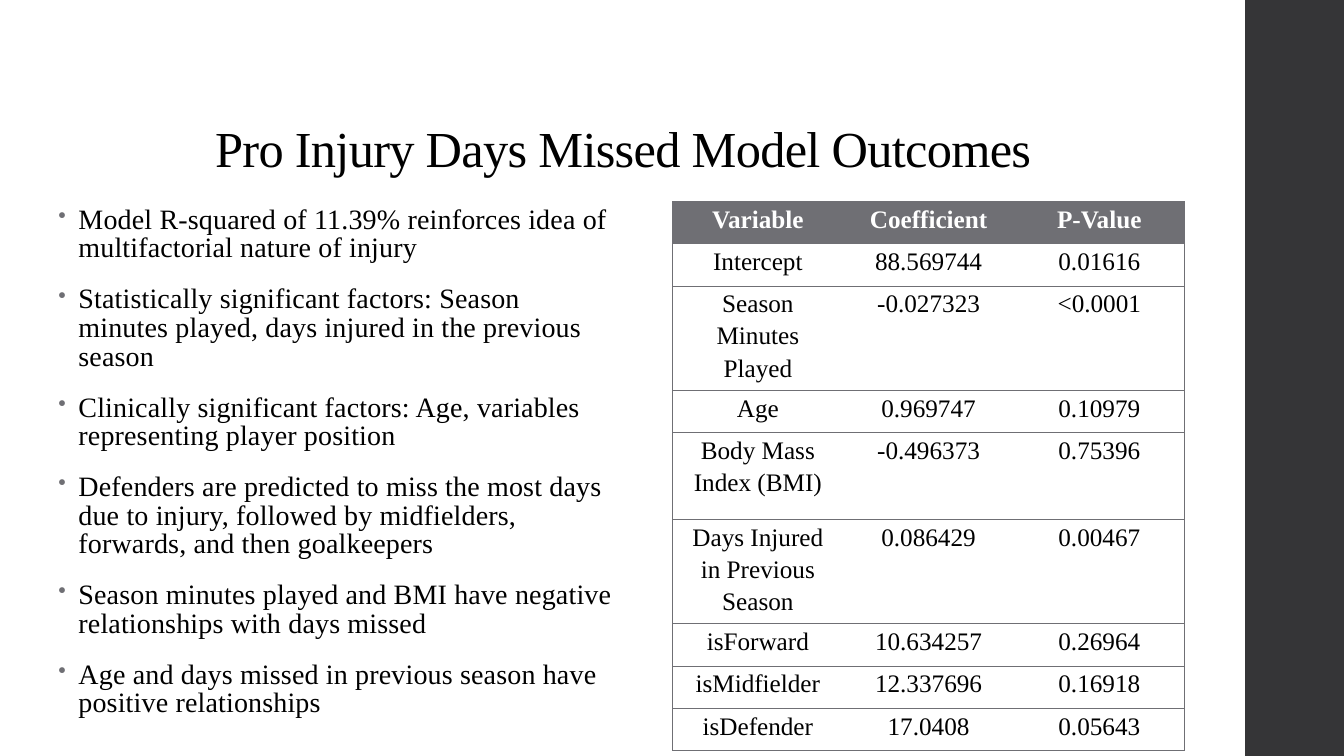
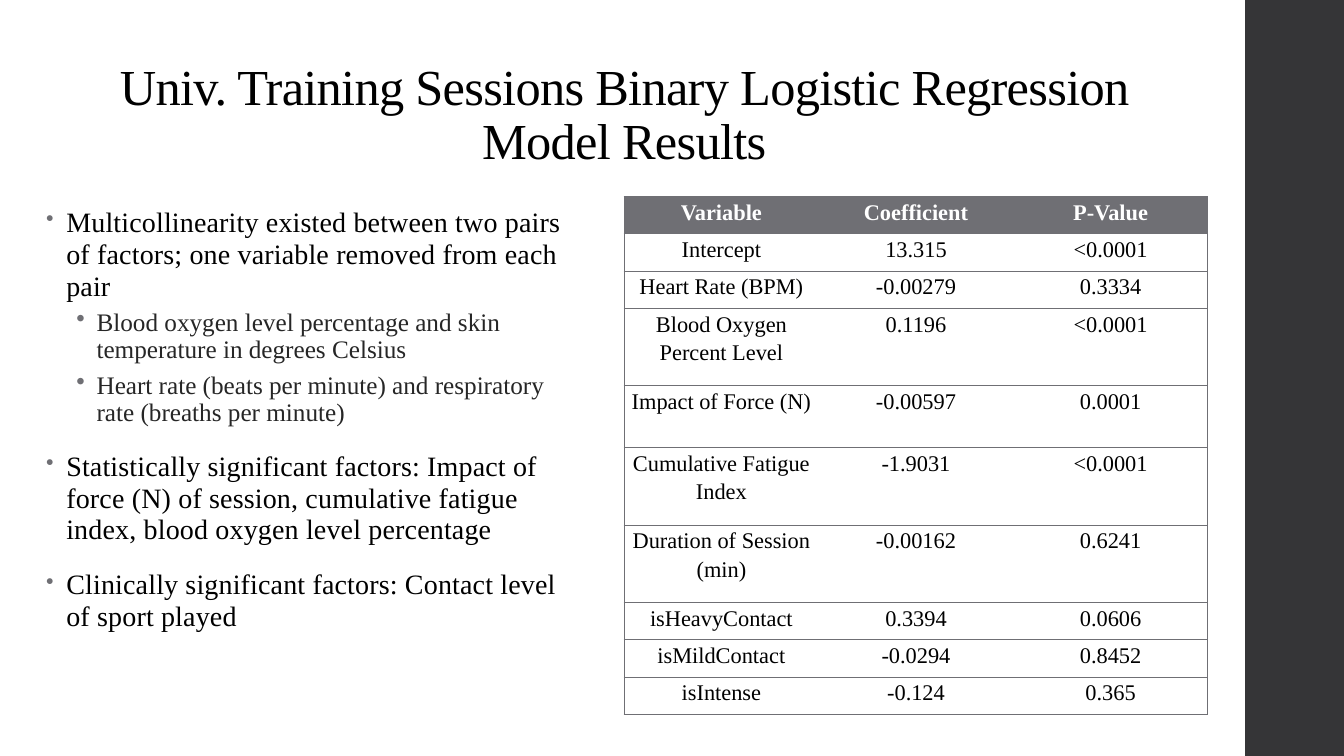
from pptx import Presentation
from pptx.dml.color import RGBColor
from pptx.enum.shapes import MSO_SHAPE
from pptx.enum.text import MSO_ANCHOR, PP_ALIGN
from pptx.oxml.ns import qn
from pptx.util import Inches, Pt
from lxml.etree import SubElement

HEADER = ("Variable", "Coefficient", "P-Value")
SLIDES = [
    {
        "title": "Pro Injury Days Missed Model Outcomes",
        "title_at": (0.88, 0.37),
        "body_at": (0.48, 2, 5.7, 5.37),
        "leading": 0.85,
        "points": [
            (0, "Model R-squared of 11.39% reinforces idea of multifactorial nature of injury"),
            (0, "Statistically significant factors: Season minutes played, days injured in the previous season"),
            (0, "Clinically significant factors: Age, variables representing player position"),
            (0, "Defenders are predicted to miss the most days due to injury, followed by midfielders, forwards, and then goalkeepers"),
            (0, "Season minutes played and BMI have negative relationships with days missed"),
            (0, "Age and days missed in previous season have positive relationships"),
        ],
        "table_at": (6.67, 2, 5.08),
        "table_size": 18,
        "row_height": 0.42,
        "tall_rows": {2: 0.97, 4: 0.86, 5: 0.97},
        "rows": [
            ("Intercept", "88.569744", "0.01616"),
            ("Season Minutes Played", "-0.027323", "<0.0001"),
            ("Age", "0.969747", "0.10979"),
            ("Body Mass Index (BMI)", "-0.496373", "0.75396"),
            ("Days Injured in Previous Season", "0.086429", "0.00467"),
            ("isForward", "10.634257", "0.26964"),
            ("isMidfielder", "12.337696", "0.16918"),
            ("isDefender", "17.0408", "0.05643"),
        ],
    },
    {
        "title": "Univ. Training Sessions Binary Logistic Regression Model Results",
        "title_at": (0.89, 0.29),
        "body_at": (0.36, 2, 5.4, 5.21),
        "leading": 0.95,
        "points": [
            (0, "Multicollinearity existed between two pairs of factors; one variable removed from each pair"),
            (1, "Blood oxygen level percentage and skin temperature in degrees Celsius"),
            (1, "Heart rate (beats per minute) and respiratory rate (breaths per minute)"),
            (0, "Statistically significant factors: Impact of force (N) of session, cumulative fatigue index, blood oxygen level percentage"),
            (0, "Clinically significant factors: Contact level of sport played"),
        ],
        "table_at": (6.19, 1.95, 5.79),
        "table_size": 16,
        "row_height": 0.37,
        "tall_rows": {3: 0.77, 4: 0.61, 5: 0.77, 6: 0.77},
        "rows": [
            ("Intercept", "13.315", "<0.0001"),
            ("Heart Rate (BPM)", "-0.00279", "0.3334"),
            ("Blood Oxygen Percent Level", "0.1196", "<0.0001"),
            ("Impact of Force (N)", "-0.00597", "0.0001"),
            ("Cumulative Fatigue Index", "-1.9031", "<0.0001"),
            ("Duration of Session (min)", "-0.00162", "0.6241"),
            ("isHeavyContact", "0.3394", "0.0606"),
            ("isMildContact", "-0.0294", "0.8452"),
            ("isIntense", "-0.124", "0.365"),
        ],
    },
]

THEME = {
    "font": "Times New Roman",
    "band": "353537",
    "accent": "6F6F74",
    "text": "000000",
    "subtext": "262626",
    "light": "FFFFFF",
    "title_size": 36,
    "line_width": 0.75,
}
LEVELS = [
    {"size": 20, "color": "text", "tracking": 10, "left": 0.2, "bullet": 80, "before": 14, "after": 2},
    {"size": 18, "color": "subtext", "tracking": 0, "left": 0.5, "bullet": 100, "before": 3, "after": 3},
]
SUB_LEADING = 0.9
HANGING = 0.2
SLIDE_W, SLIDE_H = 13.33, 7.5
BAND_X = 12.35
TITLE_W, TITLE_H = 10.6, 1.45


def rgb(name):
    return RGBColor.from_string(THEME[name])


def set_attrs(target, **values):
    for name, value in values.items():
        setattr(target, name, value)


def write(p, text, size, color, tracking=0, bold=False, **layout):
    set_attrs(p, **layout)
    r = p.add_run()
    r.text = text
    set_attrs(r.font, name=THEME["font"], size=Pt(size), bold=bold)
    r.font.color.rgb = rgb(color)
    if tracking:
        r.font._element.set("spc", str(tracking))


def add_text_frame(s, at, anchor):
    tf = s.shapes.add_textbox(*map(Inches, at)).text_frame
    set_attrs(tf, word_wrap=True, vertical_anchor=anchor)
    return tf


def add_band(s):
    sp = s.shapes.add_shape(MSO_SHAPE.RECTANGLE, Inches(BAND_X), 0,
                            Inches(SLIDE_W - BAND_X), Inches(SLIDE_H))
    sp.shadow.inherit = False
    sp.fill.solid()
    sp.fill.fore_color.rgb = rgb("band")
    sp.line.fill.background()


def add_title(s, text, at):
    tf = add_text_frame(s, (*at, TITLE_W, TITLE_H), MSO_ANCHOR.BOTTOM)
    write(tf.paragraphs[0], text, THEME["title_size"], "text", -50,
          alignment=PP_ALIGN.CENTER, line_spacing=0.9)


def add_bullet(p, level):
    pPr = p._p.get_or_add_pPr()
    pPr.set("marL", str(Inches(level["left"])))
    pPr.set("indent", str(-Inches(HANGING)))
    color = SubElement(pPr, qn("a:buClr"))
    SubElement(color, qn("a:srgbClr"), val=THEME["accent"])
    SubElement(pPr, qn("a:buSzPct"), val=str(level["bullet"] * 1000))
    SubElement(pPr, qn("a:buChar"), char="•")


def add_points(s, points, at, leading):
    tf = add_text_frame(s, at, MSO_ANCHOR.TOP)
    for i, (depth, text) in enumerate(points):
        level = LEVELS[depth]
        p = tf.add_paragraph() if i else tf.paragraphs[0]
        write(p, text, level["size"], level["color"], level["tracking"],
              level=depth, line_spacing=SUB_LEADING if depth else leading,
              space_before=Pt(level["before"]), space_after=Pt(level["after"]))
        add_bullet(p, level)


def set_borders(cell, sides):
    tcPr = cell._tc.get_or_add_tcPr()
    for side in "LRTB":
        ln = SubElement(tcPr, qn(f"a:ln{side}"), w=str(Pt(THEME["line_width"])))
        if side in sides:
            fill = SubElement(ln, qn("a:solidFill"))
            SubElement(fill, qn("a:srgbClr"), val=THEME["accent"])
        else:
            SubElement(ln, qn("a:noFill"))


def fill_cell(cell, text, size, header, sides):
    set_borders(cell, sides)
    set_attrs(cell, margin_left=Inches(0.07), margin_right=Inches(0.07),
              margin_top=0, margin_bottom=0)
    if header:
        cell.fill.solid()
        cell.fill.fore_color.rgb = rgb("accent")
    else:
        cell.fill.background()
    write(cell.text_frame.paragraphs[0], text, size, "light" if header else "text",
          bold=header, alignment=PP_ALIGN.CENTER, line_spacing=1.15, space_after=Pt(8))


def add_results(s, rows, at, size, row_height, tall_rows):
    x, y, width = at
    grid = [HEADER, *rows]
    heights = [tall_rows.get(i, row_height) for i in range(len(grid))]
    last = len(HEADER) - 1
    table = s.shapes.add_table(len(grid), len(HEADER), Inches(x), Inches(y),
                               Inches(width), Inches(sum(heights))).table
    for i, (values, height) in enumerate(zip(grid, heights)):
        table.rows[i].height = Inches(height)
        for j, text in enumerate(values):
            sides = "TB" + ("L" if j == 0 else "") + ("R" if j == last else "")
            fill_cell(table.cell(i, j), text, size, i == 0, sides)


def main():
    prs = Presentation()
    set_attrs(prs, slide_width=Inches(SLIDE_W), slide_height=Inches(SLIDE_H))
    for page in SLIDES:
        s = prs.slides.add_slide(prs.slide_layouts[6])
        add_band(s)
        add_title(s, page["title"], page["title_at"])
        add_points(s, page["points"], page["body_at"], page["leading"])
        add_results(s, page["rows"], page["table_at"], page["table_size"],
                    page["row_height"], page["tall_rows"])
    prs.save("out.pptx")


if __name__ == "__main__":
    main()
